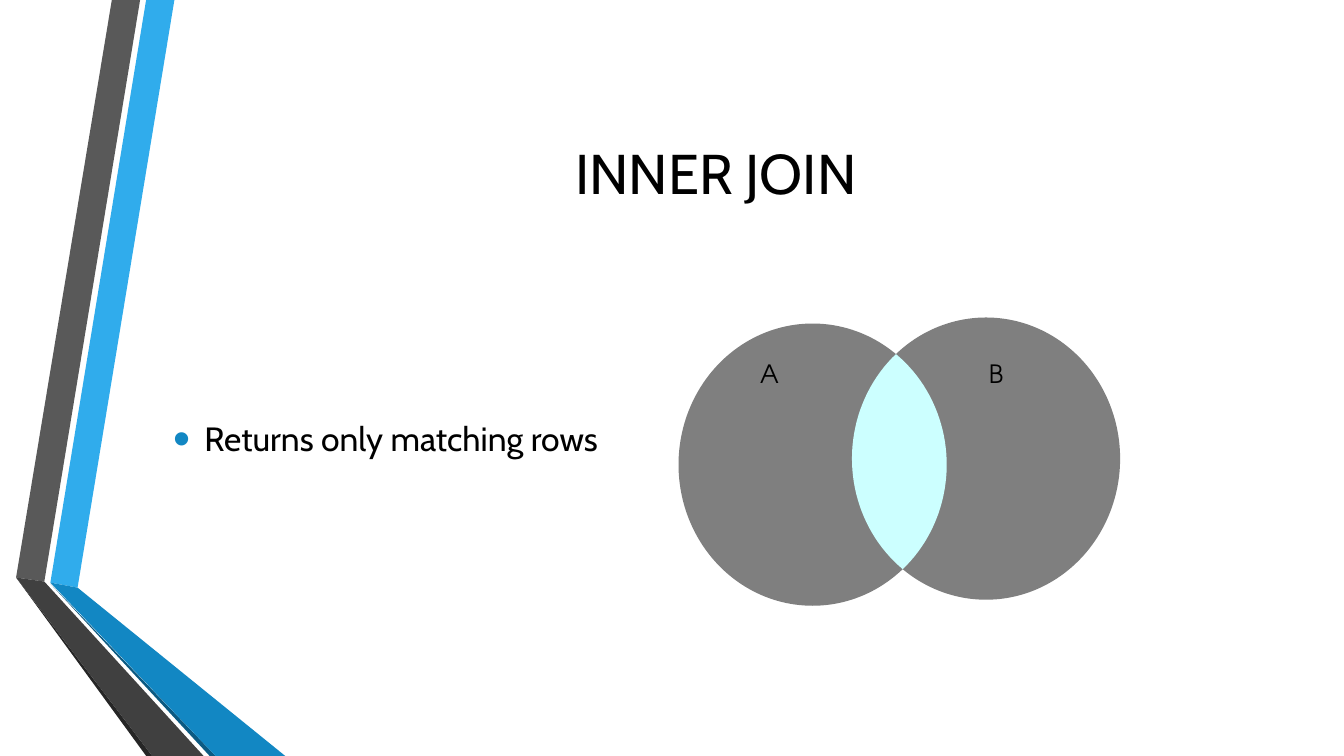
from math import acos, atan2, cos, hypot, pi, sin

from lxml.etree import SubElement
from pptx import Presentation
from pptx.dml.color import RGBColor
from pptx.enum.shapes import MSO_SHAPE
from pptx.enum.text import MSO_ANCHOR, PP_ALIGN
from pptx.oxml.ns import qn
from pptx.util import Inches, Pt

WIDTH, HEIGHT = 13.33, 7.5
COLORS = {
    "sky": "30ACEC", "blue": "1287C3", "navy": "0C5A82",
    "gray": "595959", "dark": "404040", "coal": "262626",
    "circle": "7F7F7F", "match": "CCFFFF", "text": "000000",
}

# Ribbon faces: colour and corners in inches, from back to front
RIBBONS = [
    ("sky", [(0.5, 5.78), (0.77, 5.83), (1.73, 0), (1.45, 0)]),
    ("gray", [(1.39, 0), (1.11, 0), (0.16, 5.73), (0.44, 5.77)]),
    ("coal", [(0.16, 5.73), (1.45, 7.5), (1.51, 7.5)]),
    ("navy", [(0.5, 5.79), (2.08, 7.5), (2.14, 7.5)]),
    ("blue", [(0.5, 5.78), (2.14, 7.5), (2.83, 7.5), (0.77, 5.83)]),
    ("dark", [(2.02, 7.5), (0.44, 5.77), (0.16, 5.73), (1.51, 7.5)]),
]


def paint(shape, color):
    shape.shadow.inherit = False
    shape.fill.solid()
    shape.fill.fore_color.rgb = RGBColor.from_string(COLORS[color])
    shape.line.fill.background()


def add_face(slide, points, color):
    points = [(Inches(x), Inches(y)) for x, y in points]
    face = slide.shapes.build_freeform(*points[0])
    face.add_line_segments(points[1:], close=True)
    paint(face.convert_to_shape(), color)


def add_text(slide, box, text, size, font="Cabin", align=PP_ALIGN.LEFT,
             anchor=MSO_ANCHOR.MIDDLE, bullet=False):
    frame = slide.shapes.add_textbox(*map(Inches, box)).text_frame
    frame.word_wrap = True
    frame.vertical_anchor = anchor
    para = frame.paragraphs[0]
    para.text = text
    para.alignment = align
    if bullet:
        add_bullet(para)
    para.font.name = font
    para.font.size = Pt(size)
    para.font.color.rgb = RGBColor.from_string(COLORS["text"])


def add_bullet(para):
    props = para._p.get_or_add_pPr()
    props.set("marL", str(Inches(0.31)))
    props.set("indent", str(Inches(-0.31)))
    color = SubElement(props, qn("a:buClr"))
    SubElement(color, qn("a:srgbClr"), val=COLORS["blue"])
    SubElement(props, qn("a:buSzPct"), val="145000")
    SubElement(props, qn("a:buFont"), typeface="Arial")
    SubElement(props, qn("a:buChar"), char="•")
    para.space_after = Pt(6)


def arc(center, radii, start, end, steps=40):
    turns = [start + (end - start) * i / steps for i in range(steps + 1)]
    return [(center[0] + radii[0] * cos(t), center[1] + radii[1] * sin(t))
            for t in turns]


def add_venn(slide, box):
    left, top, width, height = box
    rx, ry = 1.33, 1.4
    a = (left + rx, top + height - ry)
    b = (left + width - rx, top + ry)

    # Circles
    for x, y in (b, a):
        oval = slide.shapes.add_shape(
            MSO_SHAPE.OVAL, *map(Inches, (x - rx, y - ry, 2 * rx, 2 * ry)))
        paint(oval, "circle")

    # Overlap, bounded by the arcs between the two crossings
    dx, dy = (b[0] - a[0]) / rx, (b[1] - a[1]) / ry
    tilt, half = atan2(dy, dx), acos(hypot(dx, dy) / 2)
    right = arc(a, (rx, ry), tilt - half, tilt + half)
    back = arc(b, (rx, ry), tilt + pi - half, tilt + pi + half)
    add_face(slide, right + back[1:-1], "match")

    # Set names
    for name, x in (("A", 0.71), ("B", 2.98)):
        add_text(slide, (left + x, top + 0.36, 0.55, 0.4), name, 18,
                 font="TeX Gyre Adventor", anchor=MSO_ANCHOR.TOP)


def add_ribbons(slide):
    for color, points in RIBBONS:
        add_face(slide, points, color)


def main():
    deck = Presentation()
    deck.slide_width, deck.slide_height = Inches(WIDTH), Inches(HEIGHT)
    slide = deck.slides.add_slide(deck.slide_layouts[6])

    add_ribbons(slide)
    # Title and body
    left, width = 1.62, 10.96
    add_text(slide, (left, 0.75, width, 1.92), "INNER JOIN", 40,
             align=PP_ALIGN.CENTER)
    add_text(slide, (left, 2.92, width, 2.86), "Returns only matching rows",
             24, bullet=True)
    add_venn(slide, (6.73, 3.15, 4.38, 2.86))
    deck.save("out.pptx")


if __name__ == "__main__":
    main()
